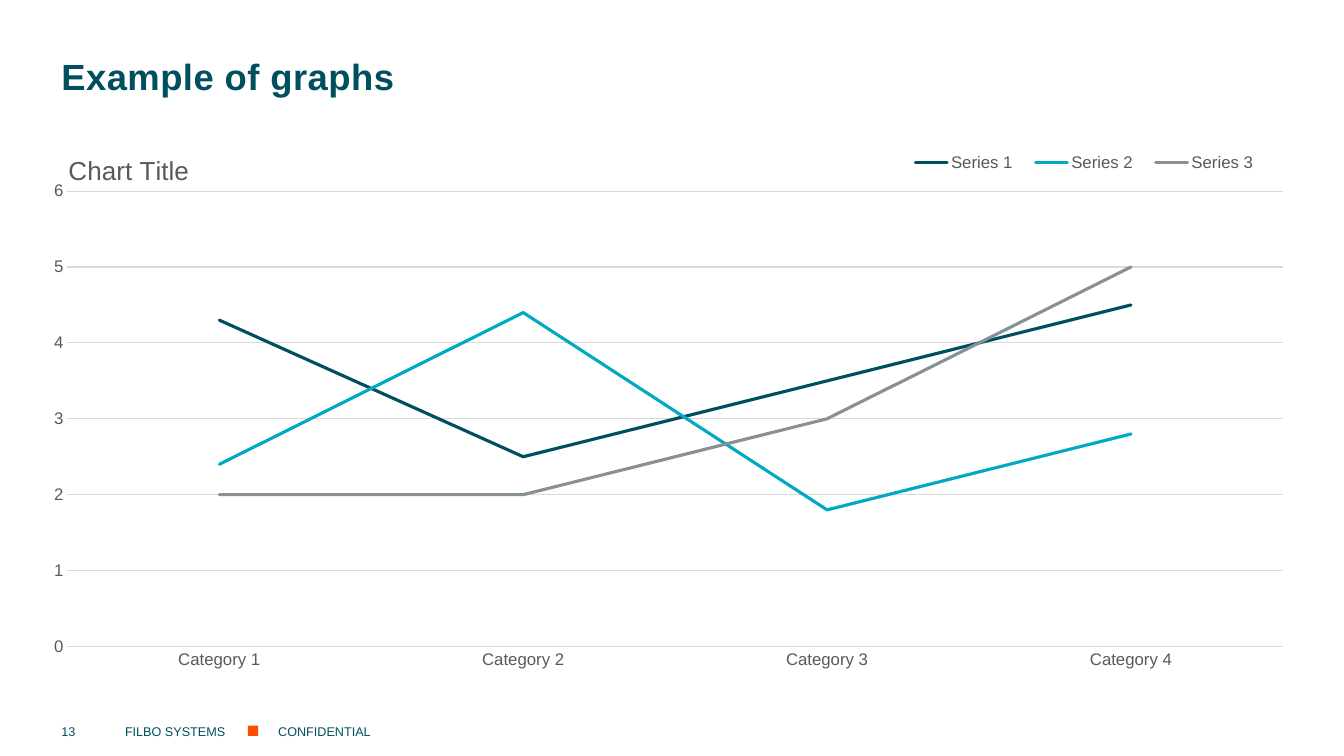
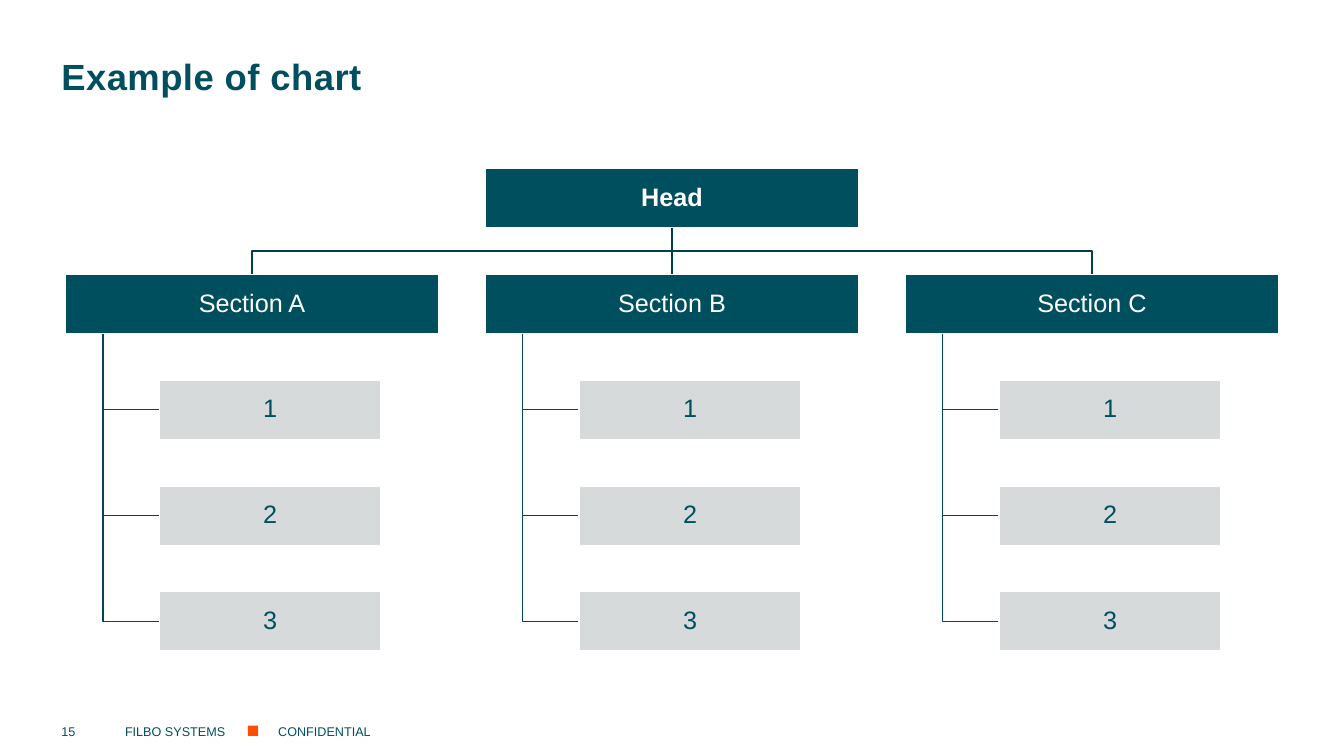
from dataclasses import dataclass

from lxml.etree import SubElement
from pptx import Presentation
from pptx.chart.data import CategoryChartData
from pptx.dml.color import RGBColor
from pptx.enum.chart import XL_CHART_TYPE as ChartType
from pptx.enum.chart import XL_LEGEND_POSITION as LegendPosition
from pptx.enum.chart import XL_TICK_MARK as TickMark
from pptx.enum.shapes import MSO_CONNECTOR as Connector
from pptx.enum.shapes import MSO_SHAPE as Shape
from pptx.enum.text import MSO_ANCHOR as Anchor
from pptx.enum.text import PP_ALIGN as Align
from pptx.oxml import parse_xml
from pptx.oxml.ns import nsdecls, qn
from pptx.util import Inches, Pt


@dataclass(frozen=True)
class Theme:
    font: str = "Arial"
    teal: RGBColor = RGBColor(0x00, 0x4F, 0x5F)
    cyan: RGBColor = RGBColor(0x00, 0xAB, 0xC1)
    slate: RGBColor = RGBColor(0x86, 0x90, 0x95)
    orange: RGBColor = RGBColor(0xFF, 0x4E, 0x00)
    white: RGBColor = RGBColor(0xFF, 0xFF, 0xFF)
    pale: RGBColor = RGBColor(0xD6, 0xDA, 0xDB)
    head_line: RGBColor = RGBColor(0x00, 0x3F, 0x4C)
    item_line: RGBColor = RGBColor(0x00, 0x48, 0x56)
    chart_text: RGBColor = RGBColor(0x59, 0x59, 0x59)
    chart_line: RGBColor = RGBColor(0xD9, 0xD9, 0xD9)
    title_size: float = 26
    title_leading: float = 27
    chart_title_size: float = 18.6
    node_size: float = 18
    label_size: float = 12
    footer_size: float = 9


@dataclass(frozen=True)
class Series:
    name: str
    values: tuple
    color: RGBColor


@dataclass(frozen=True)
class Node:
    text: str
    left: float
    top: float
    width: float
    fill: RGBColor
    ink: RGBColor
    bold: bool = False


THEME = Theme()
CATEGORIES = [f"Category {number}" for number in range(1, 5)]
SERIES = (
    Series("Series 1", (4.3, 2.5, 3.5, 4.5), THEME.teal),
    Series("Series 2", (2.4, 4.4, 1.8, 2.8), THEME.cyan),
    Series("Series 3", (2, 2, 3, 5), THEME.slate),
)
SECTIONS = ("Section A", "Section B", "Section C")
ITEMS = ("1", "2", "3")

CHART_LEFT, CHART_TOP = 0.65, 1.67
COLUMN_STEP, ROW_STEP = 4.165, 1.05
SECTION_WIDTH, ITEM_WIDTH, NODE_HEIGHT = 3.7, 2.2, 0.59
ITEM_INDENT, TRUNK_INDENT = 0.93, 0.37


def style_font(font, size: float, color: RGBColor, bold: bool = False) -> None:
    font.name = THEME.font
    font.size = Pt(size)
    font.bold = bold
    font.color.rgb = color


def set_margins(frame, left: float, top: float, right: float, bottom: float) -> None:
    frame.margin_left, frame.margin_top = Inches(left), Inches(top)
    frame.margin_right, frame.margin_bottom = Inches(right), Inches(bottom)


def add_title(page, text: str) -> None:
    box = page.shapes.add_textbox(Inches(0.61), Inches(0.42), Inches(12.1), Inches(1.04))
    frame = box.text_frame
    frame.word_wrap = True
    set_margins(frame, 0, 0.18, 0, 0.12)
    para = frame.paragraphs[0]
    para.line_spacing = Pt(THEME.title_leading)
    span = para.add_run()
    span.text = text
    style_font(span.font, THEME.title_size, THEME.teal, True)
    span._r.get_or_add_rPr().set("spc", "30")


def add_footer(page, number: int) -> None:
    entries = ((str(number), 0.61, 0.42), ("FILBO SYSTEMS", 1.24, 1.08), ("CONFIDENTIAL", 2.76, 8.93))
    for text, left, width in entries:
        box = page.shapes.add_textbox(Inches(left), Inches(7.12), Inches(width), Inches(0.21))
        frame = box.text_frame
        frame.word_wrap = True
        frame.vertical_anchor = Anchor.BOTTOM
        set_margins(frame, 0, 0, 0, 0)
        para = frame.paragraphs[0]
        para.text = text
        style_font(para.font, THEME.footer_size, THEME.teal)
    marker = page.shapes.add_shape(Shape.RECTANGLE, Inches(2.46), Inches(7.2), Inches(0.1), Inches(0.1))
    marker.shadow.inherit = False
    marker.fill.solid()
    marker.fill.fore_color.rgb = THEME.orange
    marker.line.fill.background()


def add_page(deck, title: str, number: int):
    page = deck.slides.add_slide(deck.slide_layouts[6])
    add_title(page, title)
    add_footer(page, number)
    return page


def set_layout(parent, after: str, inner: bool = False, **places: float) -> None:
    for old in parent.findall(qn("c:layout")):
        parent.remove(old)
    layout = parse_xml(f"<c:layout {nsdecls('c')}><c:manualLayout/></c:layout>")
    manual = layout[0]
    settings = {"layoutTarget": "inner"} if inner else {}
    settings |= {"xMode": "edge", "yMode": "edge"}
    settings |= {name: str(value) for name, value in places.items()}
    for name, value in settings.items():
        SubElement(manual, qn(f"c:{name}")).set("val", value)
    if after:
        parent.find(qn(after)).addnext(layout)
    else:
        parent.insert(0, layout)


def style_line(line, color: RGBColor, width: float) -> None:
    line.color.rgb = color
    line.width = Pt(width)


def add_line_chart(page) -> None:
    data = CategoryChartData()
    data.categories = CATEGORIES
    for series in SERIES:
        data.add_series(series.name, series.values)
    chart = page.shapes.add_chart(
        ChartType.LINE, Inches(0.41), Inches(1.25), Inches(12.32), Inches(5.62), data
    ).chart
    style_font(chart.font, THEME.label_size, THEME.chart_text)

    chart.has_title = True
    para = chart.chart_title.text_frame.paragraphs[0]
    para.text = "Chart Title"
    style_font(para.font, THEME.chart_title_size, THEME.chart_text)
    set_layout(chart.chart_title._element, "c:tx", x=0.018, y=0.04)

    chart.has_legend = True
    legend = chart.legend
    legend.position = LegendPosition.CORNER
    legend.include_in_layout = False
    style_font(legend.font, THEME.label_size, THEME.chart_text)
    set_layout(legend._element, "c:legendPos", x=0.69, y=0.03, w=0.3, h=0.07)

    for axis in (chart.category_axis, chart.value_axis):
        axis.major_tick_mark = axis.minor_tick_mark = TickMark.NONE
        style_font(axis.tick_labels.font, THEME.label_size, THEME.chart_text)
    style_line(chart.category_axis.format.line, THEME.chart_line, 0.75)
    values = chart.value_axis
    values.minimum_scale, values.maximum_scale, values.major_unit = 0, 6, 1
    values.format.line.fill.background()
    style_line(values.major_gridlines.format.line, THEME.chart_line, 0.75)

    plot = chart.plots[0]
    plot.vary_by_categories = False
    for drawn, series in zip(plot.series, SERIES):
        drawn.smooth = False
        style_line(drawn.format.line, series.color, 2.25)
    for line in chart._chartSpace.xpath(".//c:ser/c:spPr/a:ln"):
        line.set("cap", "rnd")
    area = chart._chartSpace.chart.plotArea
    set_layout(area, "", inner=True, x=0.021, y=0.115, w=0.979, h=0.804)


def add_node(page, node: Node):
    box = page.shapes.add_shape(
        Shape.RECTANGLE, Inches(node.left), Inches(node.top), Inches(node.width), Inches(NODE_HEIGHT)
    )
    box.shadow.inherit = False
    box.fill.solid()
    box.fill.fore_color.rgb = node.fill
    style_line(box.line, THEME.white, 1)
    frame = box.text_frame
    frame.word_wrap = True
    frame.vertical_anchor = Anchor.MIDDLE
    set_margins(frame, 0.01, 0.01, 0.01, 0.01)
    para = frame.paragraphs[0]
    para.text = node.text
    para.alignment = Align.CENTER
    para.line_spacing = 0.9
    style_font(para.font, THEME.node_size, node.ink, node.bold)
    return box


def add_branch(page, points: list[tuple[float, float]], color: RGBColor) -> None:
    start, *rest = [(Inches(x), Inches(y)) for x, y in points]
    builder = page.shapes.build_freeform(*start)
    builder.add_line_segments(rest, close=False)
    branch = builder.convert_to_shape()
    branch.shadow.inherit = False
    branch.fill.background()
    style_line(branch.line, color, 1)


def add_stem(page, upper, lower) -> None:
    stem = page.shapes.add_connector(Connector.STRAIGHT, 0, 0, 0, 0)
    stem.begin_connect(upper, 2)
    stem.end_connect(lower, 0)
    style_line(stem.line, THEME.head_line, 1)
    SubElement(stem._element.spPr, qn("a:effectLst"))


def add_organisation_chart(page) -> None:
    head_left = CHART_LEFT + COLUMN_STEP
    head_middle = head_left + SECTION_WIDTH / 2
    head_bottom = CHART_TOP + NODE_HEIGHT
    section_top = CHART_TOP + ROW_STEP
    section_bottom = section_top + NODE_HEIGHT
    bus = (head_bottom + section_top) / 2

    head = add_node(page, Node("Head", head_left, CHART_TOP, SECTION_WIDTH, THEME.teal, THEME.white, True))
    for column, name in enumerate(SECTIONS):
        left = CHART_LEFT + column * COLUMN_STEP
        middle = left + SECTION_WIDTH / 2
        section = add_node(page, Node(name, left, section_top, SECTION_WIDTH, THEME.teal, THEME.white))
        if column == 1:
            add_stem(page, head, section)
        else:
            route = [(head_middle, head_bottom), (head_middle, bus), (middle, bus), (middle, section_top)]
            add_branch(page, route, THEME.head_line)
        trunk, item_left = left + TRUNK_INDENT, left + ITEM_INDENT
        for row, text in enumerate(ITEMS, start=1):
            top = section_top + row * ROW_STEP
            center = top + NODE_HEIGHT / 2
            route = [(trunk, section_bottom), (trunk, center), (item_left, center)]
            add_branch(page, route, THEME.item_line)
            add_node(page, Node(text, item_left, top, ITEM_WIDTH, THEME.pale, THEME.teal))


def main() -> None:
    deck = Presentation()
    deck.slide_width, deck.slide_height = Inches(13.33), Inches(7.5)
    add_line_chart(add_page(deck, "Example of graphs", 13))
    add_organisation_chart(add_page(deck, "Example of chart", 15))
    deck.save("out.pptx")


if __name__ == "__main__":
    main()
